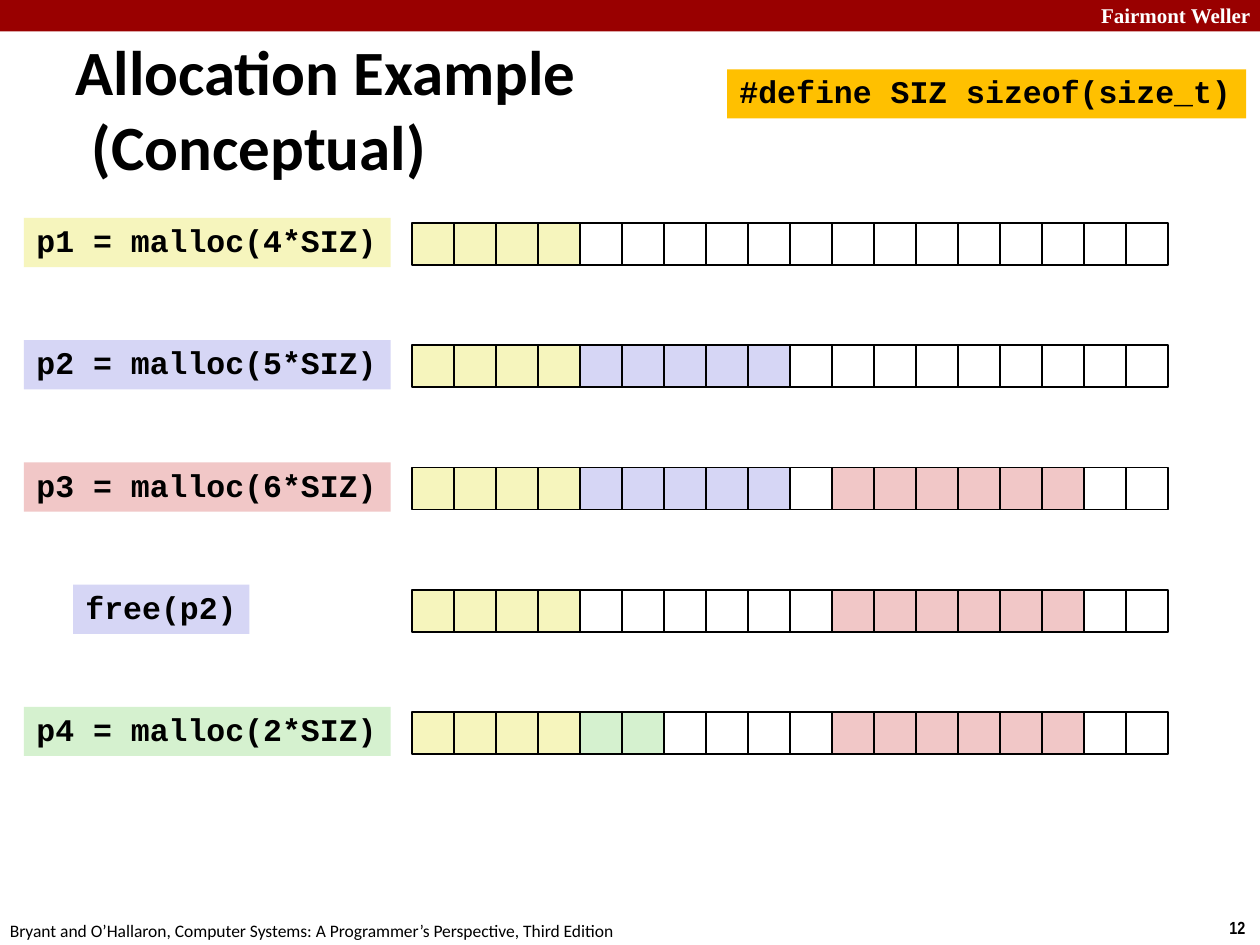
from pptx import Presentation
from pptx.dml.color import RGBColor
from pptx.enum.shapes import MSO_SHAPE as Shape
from pptx.enum.text import MSO_ANCHOR as Anchor, MSO_AUTO_SIZE as Fit, PP_ALIGN as Align
from pptx.util import Inches, Pt

BLACK = RGBColor(0x00, 0x00, 0x00)
WHITE = RGBColor(0xFF, 0xFF, 0xFF)
RED = RGBColor(0x99, 0x00, 0x00)
GOLD = RGBColor(0xFF, 0xC0, 0x00)
CREAM = RGBColor(0xF6, 0xF5, 0xBD)
LILAC = RGBColor(0xD6, 0xD6, 0xF5)
PINK = RGBColor(0xF1, 0xC7, 0xC7)
MINT = RGBColor(0xD5, 0xF1, 0xCF)

TITLE = "Allocation Example\v(Conceptual)"
MACRO = "#define SIZ sizeof(size_t)"
SCHOOL = "Fairmont Weller"
PAGE = "12"
BOOK = "Bryant and O’Hallaron, Computer Systems: A Programmer’s Perspective, Third Edition"

P1, P2, P3, P4 = (CREAM, 0, 4), (LILAC, 4, 5), (PINK, 10, 6), (MINT, 4, 2)
STEPS = [
    ("p1 = malloc(4*SIZ)", CREAM, 0.19, 2.91, [P1]),
    ("p2 = malloc(5*SIZ)", LILAC, 0.19, 2.91, [P1, P2]),
    ("p3 = malloc(6*SIZ)", PINK, 0.19, 2.91, [P1, P2, P3]),
    ("free(p2)", LILAC, 0.58, 1.4, [P1, P3]),
    ("p4 = malloc(2*SIZ)", MINT, 0.19, 2.91, [P1, P4, P3]),
]
WORDS = 18
CELL = 1 / 3
LEFT = 3.27
TOP = 1.73
PITCH = 0.97
INSET = 0.04


def style(par, font, size, color=BLACK, bold=True):
    for run in par.runs:
        run.font.name = font
        run.font.size = Pt(size)
        run.font.bold = bold
        run.font.color.rgb = color


def box(parent, x, y, w, h, fill, line=None):
    rect = parent.add_shape(Shape.RECTANGLE, Inches(x), Inches(y), Inches(w), Inches(h))
    rect.shadow.inherit = False
    rect.fill.solid()
    rect.fill.fore_color.rgb = fill
    if line is None:
        rect.line.fill.background()
    else:
        rect.line.color.rgb = line
        rect.line.width = Pt(1)
    return rect


def code(text, x, y, w, fill):
    frame = box(shapes, x, y, w, 0.39, fill).text_frame
    frame.word_wrap = False
    frame.auto_size = Fit.SHAPE_TO_FIT_TEXT
    frame.vertical_anchor = Anchor.TOP
    frame.text = text
    par = frame.paragraphs[0]
    par.alignment = Align.LEFT
    par.line_spacing = 0.94
    style(par, "Courier New", 18)


def note(text, x, y, w, h, wrap, *look):
    frame = shapes.add_textbox(Inches(x), Inches(y), Inches(w), Inches(h)).text_frame
    frame.word_wrap = wrap
    frame.auto_size = Fit.SHAPE_TO_FIT_TEXT
    frame.text = text
    style(frame.paragraphs[0], *look)


def heap(y, blocks):
    fills = [WHITE] * WORDS
    for color, start, count in blocks:
        fills[start:start + count] = [color] * count
    group = shapes.add_group_shape().shapes
    for i, fill in enumerate(fills):
        box(group, LEFT + i * CELL, y, CELL, CELL, fill, BLACK)


deck = Presentation()
deck.slide_width, deck.slide_height = Inches(10), Inches(7.5)
slide = deck.slides.add_slide(deck.slide_layouts[5])
shapes = slide.shapes

box(shapes, 0, 0, 10, 0.25, RED)
note(SCHOOL, 8.64, -0.03, 1.43, 0.3, True, "Times New Roman", 12, WHITE)
note(PAGE, 9.66, 7.23, 0.34, 0.27, False, "Arial Narrow", 10)
note(BOOK, -0.02, 7.25, 5.08, 0.27, False, "Calibri", 10, BLACK, False)

title = shapes.title
title.left, title.top = Inches(0.5), Inches(0.54)
title.width, title.height = Inches(7.07), Inches(0.63)
frame = title.text_frame
frame.auto_size = Fit.NONE
frame.vertical_anchor = Anchor.MIDDLE
frame.text = TITLE
head = frame.paragraphs[0]
head.alignment = Align.LEFT
props = head._p.get_or_add_pPr()
props.set("marL", str(Inches(0.13)))
props.set("indent", str(Inches(-0.13)))
style(head, "Calibri", 36)

code(MACRO, 5.77, 0.55, 4.12, GOLD)
for row, (text, fill, x, w, blocks) in enumerate(STEPS):
    y = TOP + row * PITCH
    code(text, x, y, w, fill)
    heap(y + INSET, blocks)

deck.save("out.pptx")
